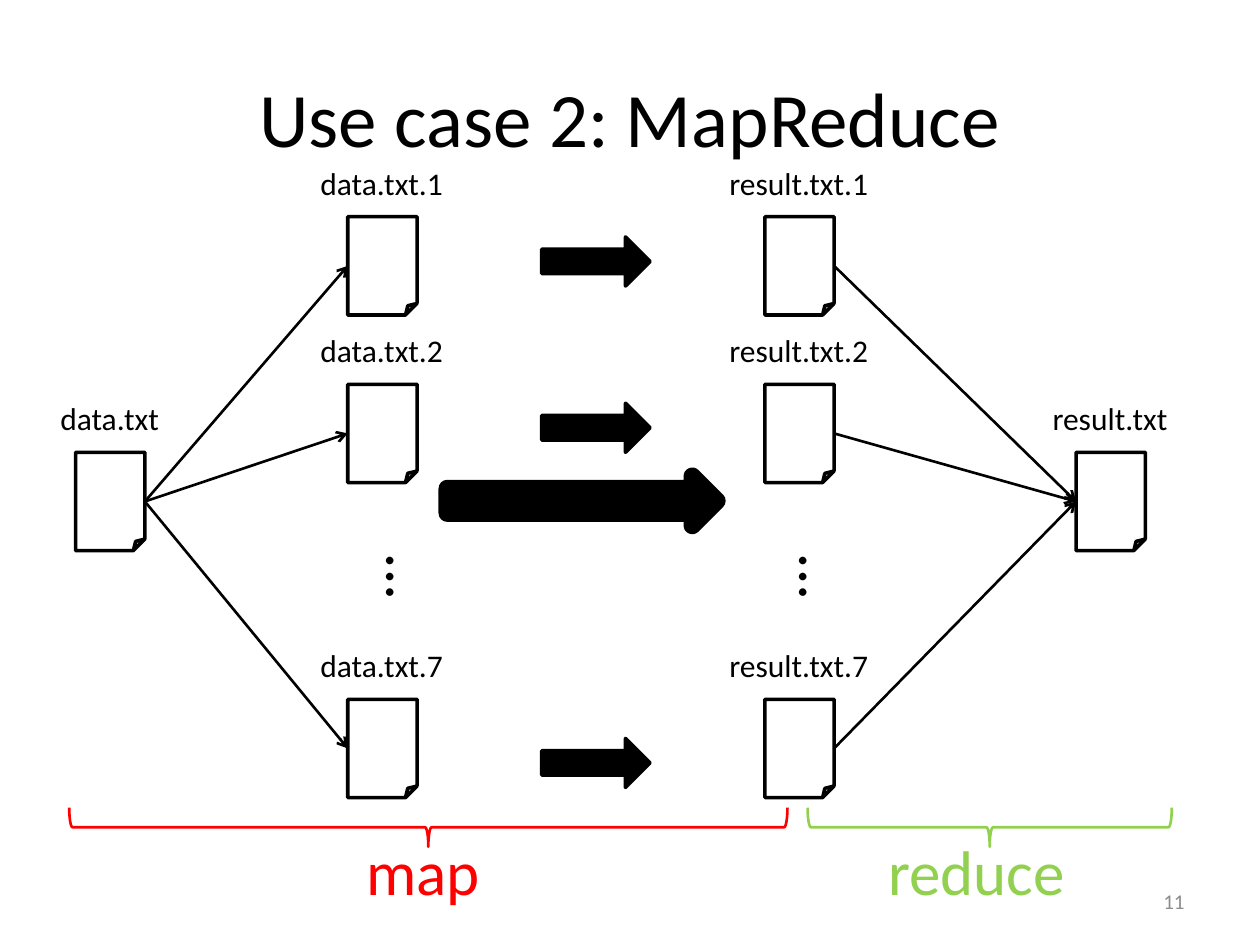
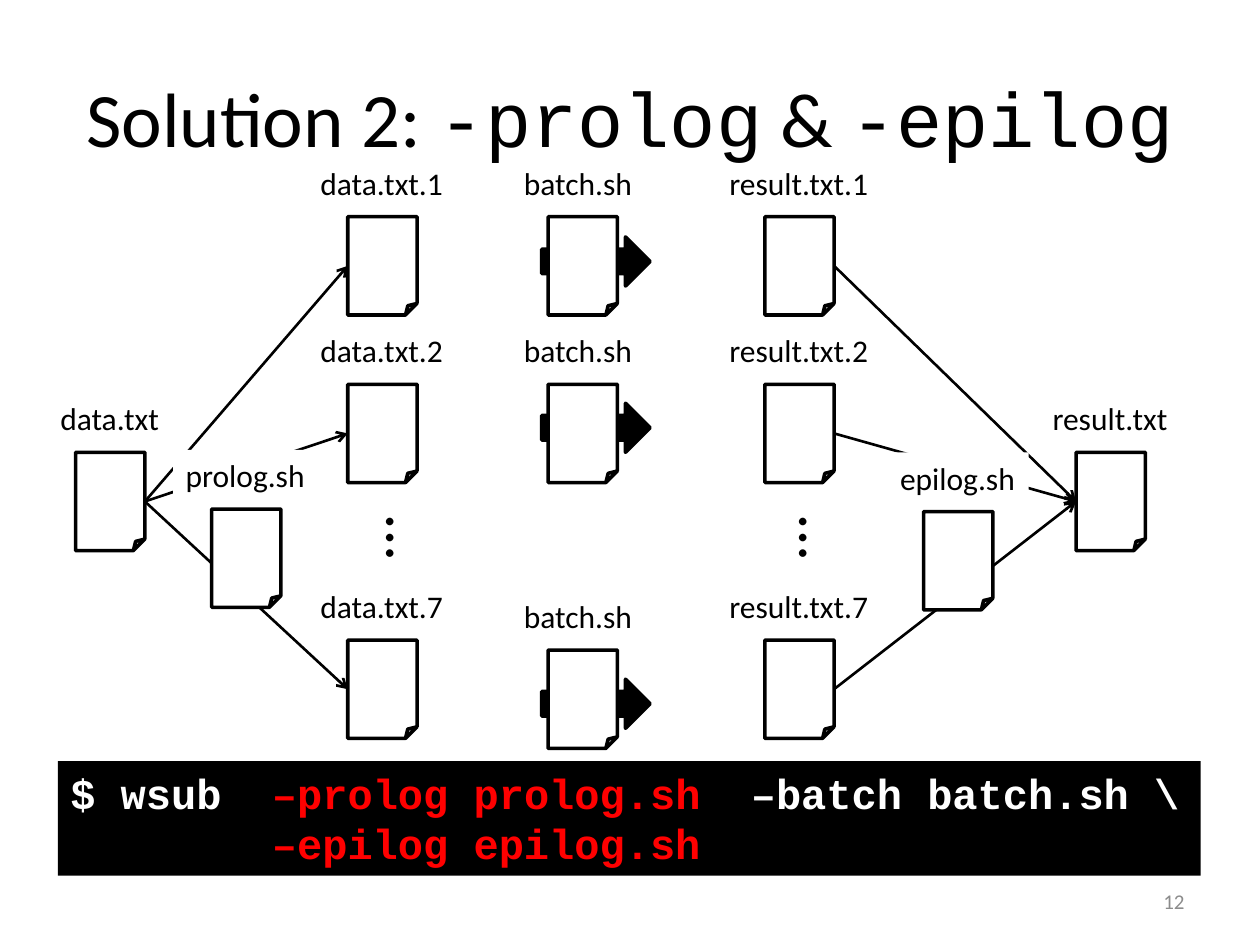
from pptx import Presentation
from pptx.dml.color import RGBColor
from pptx.enum.shapes import MSO_CONNECTOR as CONN, MSO_SHAPE as SHAPE
from pptx.enum.text import MSO_ANCHOR as ANCHOR, PP_ALIGN as ALIGN
from pptx.oxml.ns import qn
from pptx.util import Inches, Pt
from lxml.etree import SubElement

COLORS = {"ink": "000000", "paper": "FFFFFF", "red": "FF0000",
          "green": "92D050", "grey": "8C8C8C"}
SANS, MONO = "Calibri", "Courier New"
FILE_W, FILE_H = 0.55, 0.78
LABEL_H, LABEL_RISE = 0.4, 0.47   # label height, label top above the file top
ROW_NAMES = ("1", "2", "7")

prs = Presentation()
prs.slide_width, prs.slide_height = Inches(10), Inches(7.5)


def rgb(name):
    return RGBColor.from_string(COLORS[name])


def place(x, y, w, h):
    return [Inches(v) for v in (x, y, w, h)]


# Basic parts
def add_run(p, text, size, color="ink", font=SANS, bold=None):
    r = p.add_run()
    r.text = text
    r.font.size, r.font.name, r.font.bold = Pt(size), font, bold
    r.font.color.rgb = rgb(color)


def add_text(s, box, runs, size, color="ink", align=ALIGN.LEFT,
             anchor=ANCHOR.TOP, wrap=False, fill=None):
    """Text box with one paragraph; runs are (text, font) pairs."""
    sp = s.shapes.add_textbox(*place(*box))
    if fill:
        sp.fill.solid()
        sp.fill.fore_color.rgb = rgb(fill)
    tf = sp.text_frame
    tf.word_wrap, tf.vertical_anchor = wrap, anchor
    p = tf.paragraphs[0]
    p.alignment = align
    for text, font in runs:
        add_run(p, text, size, color, font)
    return sp


def add_preset(s, kind, box, fill=None, line=None, width=2):
    sp = s.shapes.add_shape(kind, *place(*box))
    sp.shadow.inherit = False
    if fill:
        sp.fill.solid()
        sp.fill.fore_color.rgb = rgb(fill)
    else:
        sp.fill.background()
    if line:
        sp.line.color.rgb = rgb(line)
        sp.line.width = Pt(width)
    else:
        sp.line.fill.background()
    return sp


def add_arrow(s, start, end):
    ln = s.shapes.add_connector(CONN.STRAIGHT, *place(*start, *end))
    ln.line.color.rgb = rgb("ink")
    ln.line.width = Pt(1.5)
    SubElement(ln.line._get_or_add_ln(), qn("a:tailEnd"), type="arrow")
    SubElement(ln._element.spPr, qn("a:effectLst"))


def add_file(s, x, y, name, label_w, label_fill=None, label_dx=0):
    """File icon at x, y with its name centred above."""
    add_preset(s, SHAPE.FOLDED_CORNER, (x, y, FILE_W, FILE_H), "paper", "ink")
    label_x = x + (FILE_W - label_w) / 2 + label_dx
    add_text(s, (label_x, y - LABEL_RISE, label_w, LABEL_H),
             [(name, SANS)], 18, fill=label_fill)


# Regions
def add_frame(title, number):
    """Blank slide with title and page number."""
    s = prs.slides.add_slide(prs.slide_layouts[6])
    add_text(s, (0.5, 0.3, 9, 1.25), title, 44, align=ALIGN.CENTER,
             anchor=ANCHOR.MIDDLE, wrap=True)
    add_text(s, (7.17, 6.95, 2.33, 0.4), [(str(number), SANS)], 12, "grey",
             ALIGN.RIGHT, ANCHOR.MIDDLE, True)
    return s


def add_column(s, x, tops, stem, label_w, dots_x, dots_y):
    """Numbered files, with dots for those left out."""
    for top, n in zip(tops, ROW_NAMES):
        add_file(s, x, top, f"{stem}.{n}", label_w)
    dots = add_text(s, (dots_x, dots_y, 0.55, 0.71), [("…", SANS)], 36)
    dots.rotation = 270


def add_flow(s, x, y, last_row, dots):
    """Split, process and merge diagram; returns the tops of its rows."""
    tops = [y + dy for dy in (0.47, 1.8, last_row)]
    part_x, result_x, end_x = x + 2.16, x + 5.47, x + 7.94
    mid_y, half = y + 2.73, FILE_H / 2

    add_file(s, x, mid_y - half, "data.txt", 0.99)
    add_column(s, part_x, tops, "data.txt", 1.18, x + 2.05, y + dots)
    add_column(s, result_x, tops, "result.txt", 1.31, x + 5.33, y + dots)
    add_file(s, end_x, mid_y - half, "result.txt", 1.12)

    for top in tops:
        add_arrow(s, (x + FILE_W, mid_y), (part_x, top + half))
        add_arrow(s, (result_x + FILE_W, top + half), (end_x, mid_y))
    for top, drop in zip(tops, (0.16, 0.15, 0.31)):
        add_preset(s, SHAPE.RIGHT_ARROW, (x + 3.7, top + drop, 0.86, 0.39),
                   "ink", "ink")
    return tops


def add_phase(s, x, y, w, name, color, text_x, text_w):
    """Brace opening upwards over the width w, with the phase name below."""
    depth = 0.31
    brace = add_preset(s, SHAPE.LEFT_BRACE,
                       (x + (w - depth) / 2, y - (w - depth) / 2, depth, w),
                       line=color, width=1.5)
    brace.rotation = 270
    add_text(s, (text_x, y + 0.15, text_w, 0.71), [(name, SANS)], 36, color)


def add_command(s, box, lines):
    """Terminal panel; lines are (indent, runs), runs are (text, colour)."""
    tf = add_preset(s, SHAPE.RECTANGLE, box, "ink").text_frame
    tf.word_wrap, tf.vertical_anchor = True, ANCHOR.TOP
    for i, (indent, runs) in enumerate(lines):
        p = tf.add_paragraph() if i else tf.paragraphs[0]
        p.alignment = ALIGN.LEFT
        p._p.get_or_add_pPr().set("marL", str(Inches(indent)))
        for text, color in runs:
            add_run(p, text, 24, color, MONO, True)


# Slide 1: use case
s = add_frame([("Use case 2: MapReduce", SANS)], 11)
add_flow(s, 0.6, 1.25, last_row=4.3, dots=2.97)
add_preset(s, SHAPE.RIGHT_ARROW, (3.55, 3.78, 2.14, 0.39), "ink", "ink", 10)
add_phase(s, 0.55, 6.41, 5.7, "map", "red", 2.81, 1.11)
add_phase(s, 6.41, 6.41, 2.89, "reduce", "green", 6.95, 1.61)

# Slide 2: solution
s = add_frame([("Solution 2: ", SANS), ("-prolog", MONO),
               (" & ", SANS), ("-epilog", MONO)], 12)
tops = add_flow(s, 0.6, 1.25, last_row=3.83, dots=2.66)
add_file(s, 7.33, 4.06, "epilog.sh", 1.12, "paper")
add_file(s, 1.68, 4.04, "prolog.sh", 1.16, "paper")
for top, drop in zip(tops, (0, 0, 0.08)):
    add_file(s, 4.35, top + drop, "batch.sh", 1.07, "paper", -0.03)
add_command(s, (0.46, 6.04, 9.07, 0.91), [
    (0, [("$ wsub  ", "paper"), ("–prolog prolog.sh", "red"),
         ("  –batch batch.sh \\", "paper")]),
    (1.6, [("–epilog epilog.sh", "red")]),
])

prs.save("out.pptx")
